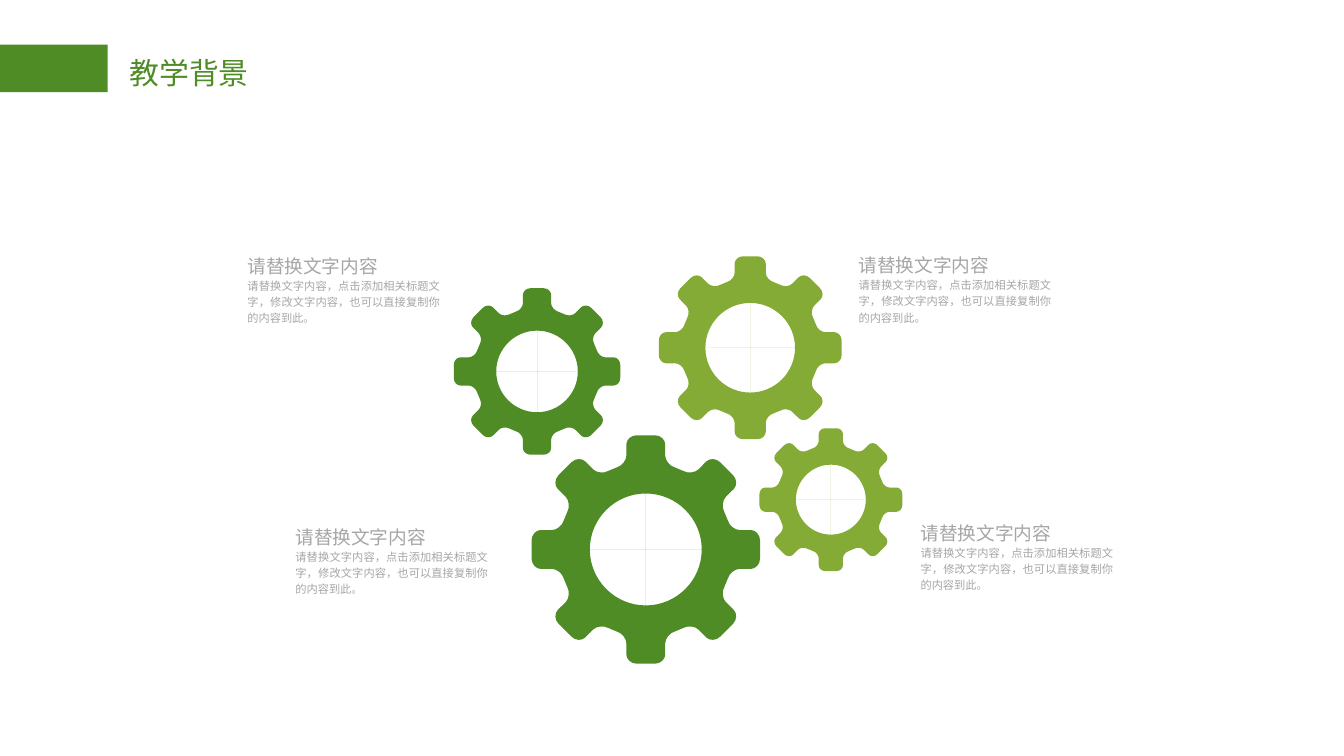
from math import cos, pi, sin

from lxml.etree import SubElement
from pptx import Presentation
from pptx.dml.color import RGBColor
from pptx.enum.shapes import MSO_SHAPE
from pptx.enum.text import MSO_ANCHOR, PP_ALIGN
from pptx.oxml.ns import qn
from pptx.util import Pt

DARK_GREEN = RGBColor(0x4F, 0x8C, 0x26)
LIGHT_GREEN = RGBColor(0x84, 0xAB, 0x35)
GRAY = RGBColor(0xA6, 0xA6, 0xA6)

HEADING = "请替换文字内容"
BODY = "请替换文字内容，点击添加相关标题文字，修改文字内容，也可以直接复制你的内容到此。"

TEETH = 8
FILLET = [(0.25, 0.72), (0.21, 0.73), (0.17, 0.78), (0.17, 0.82)]
CORNER = [(0.17, 0.92), (0.17, 0.96), (0.13, 1), (0.08, 1)]
HOLE_ARC = [(0, 0.49), (-0.27, 0.49), (-0.49, 0.27), (-0.49, 0)]

GEARS = [
    (445.1, 267.7, 38.25, LIGHT_GREEN),
    (401.9, 186.3, 49, LIGHT_GREEN),
    (346, 294.4, 61.2, DARK_GREEN),
    (287.7, 199, 44.6, DARK_GREEN),
]
NOTES = [(127.6, 131.5), (153.3, 276.7), (455, 131.3), (488.2, 274.6)]


def revolve(points, count):
    angles = [2 * pi * i / count for i in range(count)]
    return [(x * cos(a) + y * sin(a), x * sin(a) - y * cos(a))
            for a in angles for x, y in points]


def gear_rim():
    right = FILLET + CORNER
    left = [(-x, y) for x, y in right]
    return revolve(left + right[::-1], TEETH)


def curve_every_four(outline):
    vertices = [v for v in outline if v.tag != qn("a:close")]
    for i in range(0, len(vertices), 4):
        curve = SubElement(outline, qn("a:cubicBezTo"))
        vertices[i].addnext(curve)
        for v in vertices[i + 1:i + 4]:
            curve.append(v[0])
            outline.remove(v)


class SlideBuilder:
    latin = "Arial"
    title_font = "Calibri"

    def __init__(self, prs):
        self.s = prs.slides.add_slide(prs.slide_layouts[5])

    def paint(self, sp, color):
        sp.shadow.inherit = False
        sp.fill.solid()
        sp.fill.fore_color.rgb = color
        sp.line.fill.background()

    def format_text(self, sp, text, size, font, color, align, inset, wrap):
        tf = sp.text_frame
        tf.text = text
        tf.word_wrap = wrap
        tf.vertical_anchor = MSO_ANCHOR.TOP
        tf.margin_left = tf.margin_right = Pt(inset)
        tf.margin_top = tf.margin_bottom = Pt(inset / 2)
        p = tf.paragraphs[0]
        p.alignment = align
        r = p.runs[0]
        r.font.size = Pt(size)
        r.font.name = font
        r.font.color.rgb = color
        return p

    def bar(self, x, y, w, h, color):
        sp = self.s.shapes.add_shape(MSO_SHAPE.RECTANGLE, Pt(x), Pt(y), Pt(w), Pt(h))
        self.paint(sp, color)

    def title(self, text, x, y, w, h):
        sp = self.s.shapes.title
        sp.left, sp.top, sp.width, sp.height = Pt(x), Pt(y), Pt(w), Pt(h)
        self.format_text(sp, text, 16, self.title_font, DARK_GREEN,
                         PP_ALIGN.LEFT, 5.4, False)

    def gear(self, cx, cy, radius, color):
        def place(points):
            return [(Pt(cx + radius * x), Pt(cy + radius * y)) for x, y in points]

        rim, hole = place(gear_rim()), place(revolve(HOLE_ARC, 4))
        fb = self.s.shapes.build_freeform(*rim[0])
        fb.add_line_segments(rim[1:], close=True)
        fb.move_to(*hole[0])
        fb.add_line_segments(hole[1:], close=True)
        sp = fb.convert_to_shape()
        for outline in sp.element.iter(qn("a:path")):
            curve_every_four(outline)
        self.paint(sp, color)

    def text(self, text, x, y, w, h, size):
        sp = self.s.shapes.add_textbox(Pt(x), Pt(y), Pt(w), Pt(h))
        p = self.format_text(sp, text, size, self.latin, GRAY,
                             PP_ALIGN.JUSTIFY, 5, True)
        p.line_spacing = 1.2

    def note(self, x, y):
        self.text(HEADING, x, y, 82, 17.3, 10)
        self.text(BODY, x, y + 14.1, 113, 32.4, 6)


def main():
    prs = Presentation()
    prs.slide_width, prs.slide_height = Pt(720), Pt(405)
    slide = SlideBuilder(prs)
    slide.bar(0, 23.9, 57.7, 25.5, DARK_GREEN)
    slide.title("教学背景", 64, 26.6, 75.6, 25.2)
    for gear in GEARS:
        slide.gear(*gear)
    for note in NOTES:
        slide.note(*note)
    prs.save("out.pptx")


if __name__ == "__main__":
    main()
